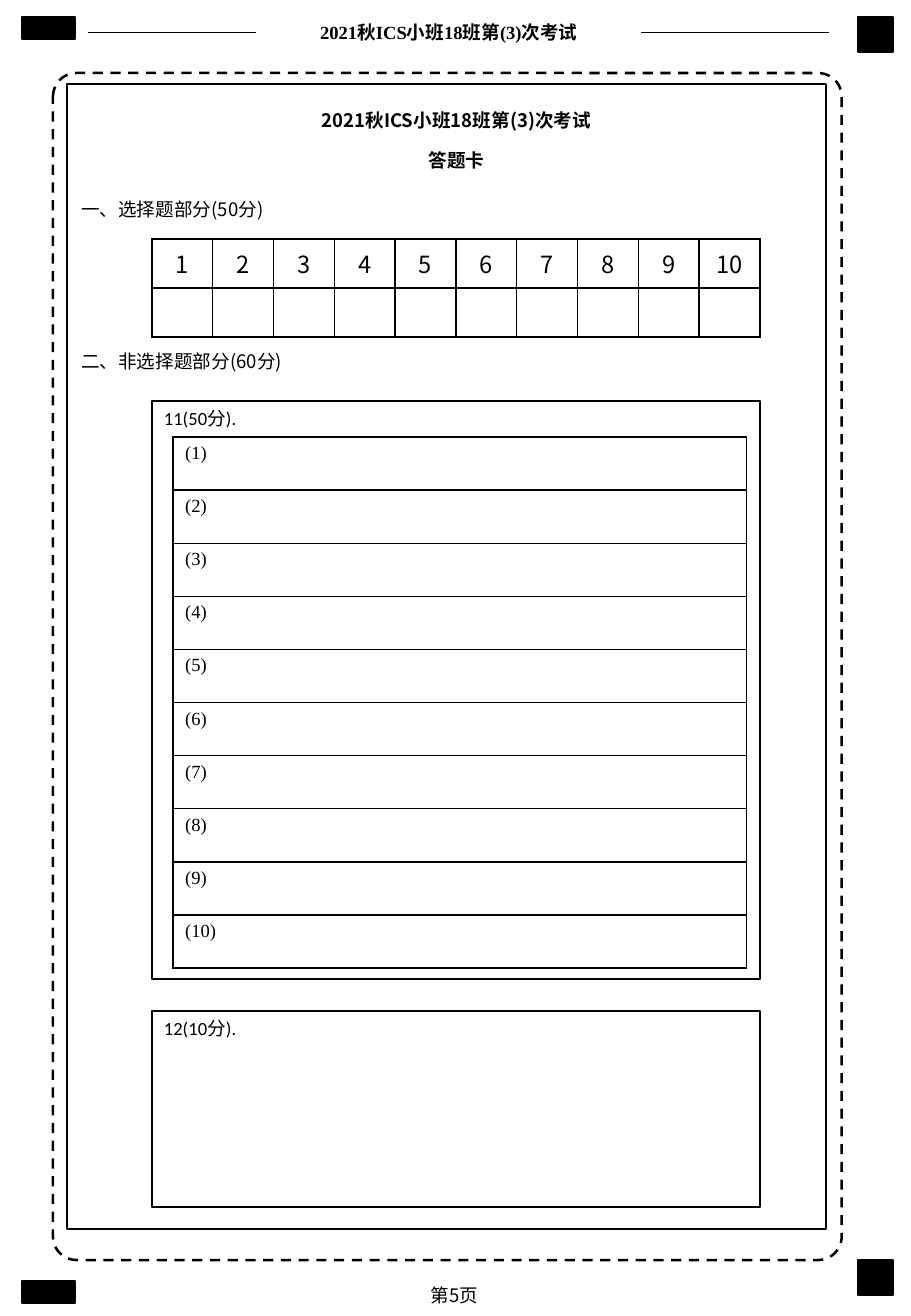
"""Build an exam answer card with a question grid and answer boxes."""
import lxml.etree
import pptx
import pptx.dml.color
import pptx.enum.dml
import pptx.enum.shapes
import pptx.enum.text
import pptx.oxml.ns
import pptx.util

SCALE = 914400 / 121.5
COLORS = {"ink": "000000", "paper": "FFFFFF"}
SANS = "Noto Sans CJK SC"
EXAM = "2021秋ICS小班18班第(3)次考试"
ALIGN = pptx.enum.text.PP_ALIGN
ANCHOR = pptx.enum.text.MSO_ANCHOR
SHAPE = pptx.enum.shapes.MSO_SHAPE
qn = pptx.oxml.ns.qn


def px(n):
    return pptx.util.Emu(round(n * SCALE))


def rgb(name):
    return pptx.dml.color.RGBColor.from_string(COLORS[name])


def add_text(tf, lines, size=11, font=SANS, bold=False, align=ALIGN.LEFT, gap=0):
    for i, line in enumerate(lines):
        p = tf.paragraphs[0] if i == 0 else tf.add_paragraph()
        pPr = p._p.get_or_add_pPr()
        pPr.set("marL", "0")
        pPr.set("indent", "0")
        lxml.etree.SubElement(pPr, qn("a:buNone"))
        p.alignment = align
        p.space_before = pptx.util.Pt(gap if i else 0)
        r = p.add_run()
        r.text = line
        r.font.size = pptx.util.Pt(size)
        r.font.bold = bold
        r.font.name = font
        r.font.color.rgb = rgb("ink")
        lxml.etree.SubElement(r._r.get_or_add_rPr(), qn("a:ea"), typeface=SANS)


def fill_placeholder(sp, x, y, w, h, lines, **fmt):
    sp.left, sp.top, sp.width, sp.height = map(px, (x, y, w, h))
    tf = sp.text_frame
    tf.auto_size = pptx.enum.text.MSO_AUTO_SIZE.NONE
    tf.vertical_anchor = ANCHOR.TOP
    add_text(tf, lines, **fmt)


def add_label(slide, x, y, w, h, line, **fmt):
    tf = slide.shapes.add_textbox(*map(px, (x, y, w, h))).text_frame
    tf.word_wrap = True
    add_text(tf, [line], **fmt)


def add_box(slide, x, y, w, h, kind=SHAPE.RECTANGLE, fill=None, weight=1):
    sp = slide.shapes.add_shape(kind, *map(px, (x, y, w, h)))
    sp.shadow.inherit = False
    if fill:
        sp.fill.solid()
        sp.fill.fore_color.rgb = rgb(fill)
    else:
        sp.fill.background()
    sp.line.color.rgb = rgb("ink")
    sp.line.width = pptx.util.Pt(weight)
    return sp


def add_question(slide, y, h, line):
    tf = add_box(slide, 152, y, 608, h).text_frame
    tf.vertical_anchor = ANCHOR.TOP
    add_text(tf, [line], font="Calibri")


def add_rule(slide, x1, x2, y):
    line = slide.shapes.add_connector(
        pptx.enum.shapes.MSO_CONNECTOR.STRAIGHT, *map(px, (x1, y, x2, y)))
    line.line.color.rgb = rgb("ink")
    line.line.width = pptx.util.Pt(0.5)
    lxml.etree.SubElement(line._element.spPr, qn("a:effectLst"))


def add_borders(cell):
    tcPr = cell._tc.get_or_add_tcPr()
    for i, side in enumerate(("lnL", "lnR", "lnT", "lnB")):
        ln = lxml.etree.Element(qn("a:" + side), w="12700")
        fill = lxml.etree.SubElement(ln, qn("a:solidFill"))
        lxml.etree.SubElement(fill, qn("a:srgbClr"), val=COLORS["ink"])
        tcPr.insert(i, ln)


def add_grid(slide, x, y, w, h, rows, margin, anchor, **fmt):
    table = slide.shapes.add_table(
        len(rows), len(rows[0]), *map(px, (x, y, w, h))).table
    table.first_row = table.horz_banding = False
    for row, values in zip(table.rows, rows):
        row.height = px(h / len(rows))
        for cell, value in zip(row.cells, values):
            cell.fill.solid()
            cell.fill.fore_color.rgb = rgb("paper")
            cell.margin_top = cell.margin_bottom = px(margin)
            cell.vertical_anchor = anchor
            add_borders(cell)
            if value:
                add_text(cell.text_frame, [value], **fmt)


def main():
    prs = pptx.Presentation()
    prs.slide_width, prs.slide_height = px(911.25), px(1316)
    slide = prs.slides.add_slide(prs.slide_layouts[1])
    title, body = slide.placeholders

    for y in (17, 1260):
        add_box(slide, 858, y, 35, 35, fill="ink")
    for y in (17, 1281):
        add_box(slide, 22, y, 53, 22, fill="ink")
    add_rule(slide, 88, 256, 32)
    add_rule(slide, 641, 829, 32)
    border = add_box(slide, 53, 73, 789, 1187, SHAPE.ROUNDED_RECTANGLE, weight=1.5)
    border.adjustments[0] = 0.03
    border.line.dash_style = pptx.enum.dml.MSO_LINE.DASH
    add_box(slide, 67, 84, 759, 1145)

    add_label(slide, 303, 15, 292, 35, EXAM, font="Times New Roman",
              bold=True, align=ALIGN.CENTER)
    add_label(slide, 419, 1278, 177, 35, "第5页")
    fill_placeholder(title, 69, 103, 775, 85, [EXAM, "答题卡"],
                     bold=True, align=ALIGN.CENTER, gap=10.4)
    fill_placeholder(body, 69, 192, 775, 195,
                     ["一、选择题部分(50分)", "二、非选择题部分(60分)"], gap=76.5)

    numbers = [str(n) for n in range(1, 11)]
    add_grid(slide, 152, 239, 608, 98, [numbers, [""] * 10], 0, ANCHOR.MIDDLE,
             size=14, align=ALIGN.CENTER)
    add_question(slide, 401, 578, "11(50分).")
    add_question(slide, 1011, 196, "12(10分).")
    add_grid(slide, 173, 437, 574, 531, [[f"({n})"] for n in numbers], 6,
             ANCHOR.TOP, font="Times New Roman")
    prs.save("out.pptx")


if __name__ == "__main__":
    main()
